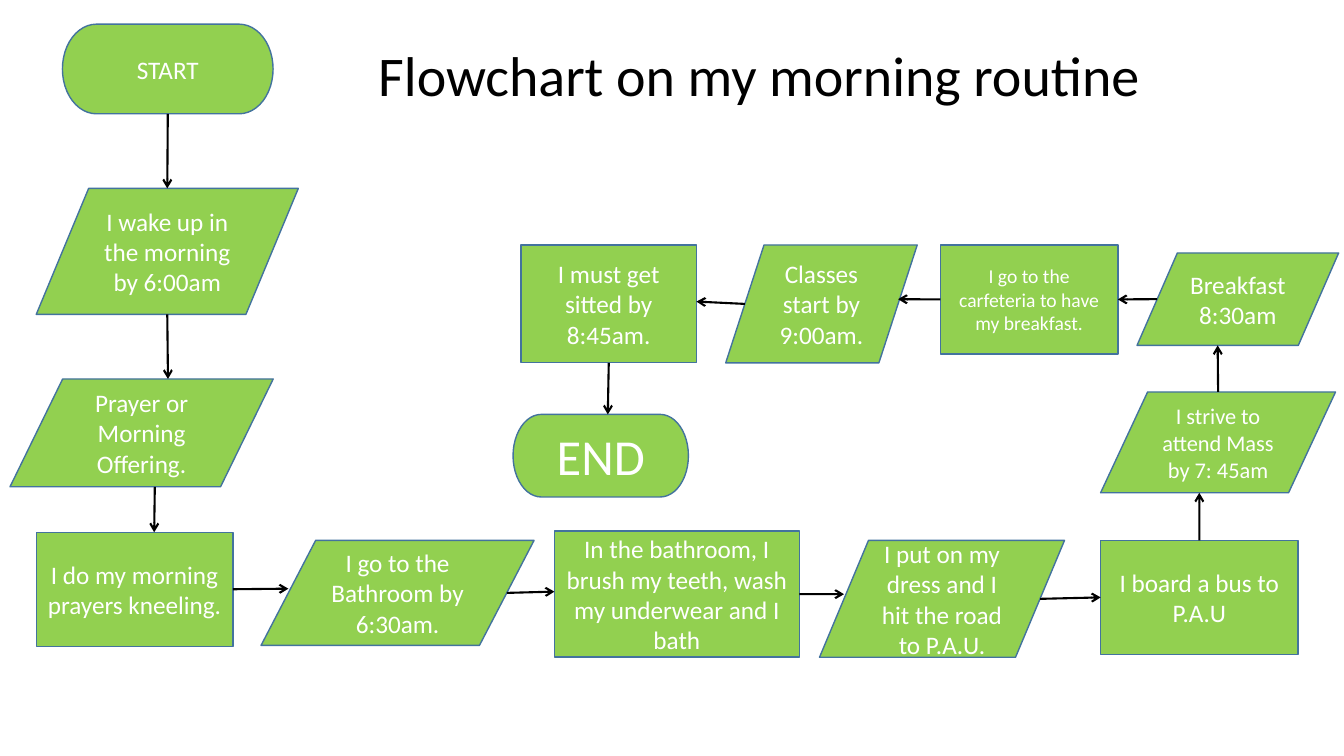
from lxml import etree
from pptx import Presentation, util as u
from pptx.dml import color
from pptx.enum import shapes, text
from pptx.oxml import ns

TERMINATOR = shapes.MSO_SHAPE.FLOWCHART_TERMINATOR
DATA = shapes.MSO_SHAPE.FLOWCHART_DATA
PROCESS = shapes.MSO_SHAPE.FLOWCHART_PROCESS
RECTANGLE = shapes.MSO_SHAPE.RECTANGLE

TOP, BOTTOM, LEFT, RIGHT = (0.5, 0), (0.5, 1), (0, 0.5), (1, 0.5)
SLANT_LEFT, SLANT_RIGHT = (0.1, 0.5), (0.9, 0.5)
SLANT_LEFT_HIGH, SLANT_RIGHT_HIGH = (0.1, 0.46), (0.9, 0.46)


def rgb(value):
    return color.RGBColor.from_string(value)


class Flowchart:
    font = "Calibri"
    fill = "92D050"
    outline = "43739E"
    label = "FFFFFF"
    ink = "000000"

    def __init__(self, page):
        self.page = page

    def set_words(self, frame, words, size, shade, anchor):
        frame.text = words
        frame.word_wrap = True
        frame.auto_size = text.MSO_AUTO_SIZE.NONE
        frame.vertical_anchor = anchor
        para = frame.paragraphs[0]
        para.alignment = text.PP_ALIGN.CENTER
        span = para.runs[0]
        span.font.name = self.font
        span.font.size = u.Pt(size)
        span.font.color.rgb = rgb(shade)
        return para

    def title(self, words, left, top, width, height, size):
        box = self.page.shapes.title
        box.left, box.top = u.Pt(left), u.Pt(top)
        box.width, box.height = u.Pt(width), u.Pt(height)
        para = self.set_words(box.text_frame, words, size, self.ink,
                              text.MSO_ANCHOR.BOTTOM)
        para.line_spacing = 0.9

    def step(self, kind, words, left, top, width, height, size=18):
        box = self.page.shapes.add_shape(
            kind, u.Pt(left), u.Pt(top), u.Pt(width), u.Pt(height))
        box.shadow.inherit = False
        box.fill.solid()
        box.fill.fore_color.rgb = rgb(self.fill)
        box.line.color.rgb = rgb(self.outline)
        box.line.width = u.Pt(1)
        self.set_words(box.text_frame, words, size, self.label,
                       text.MSO_ANCHOR.MIDDLE)
        return box

    def arrow(self, source, leave, target, enter):
        ends = [(round(box.left + box.width * across),
                 round(box.top + box.height * down))
                for box, (across, down) in ((source, leave), (target, enter))]
        line = self.page.shapes.add_connector(
            shapes.MSO_CONNECTOR.STRAIGHT, *ends[0], *ends[1])
        line.line.color.rgb = rgb(self.ink)
        line.line.width = u.Pt(1.5)
        properties = line._element.spPr
        head = etree.SubElement(properties.get_or_add_ln(), ns.qn("a:tailEnd"))
        head.set("type", "arrow")
        etree.SubElement(properties, ns.qn("a:effectLst"))


deck = Presentation()
deck.slide_width, deck.slide_height = u.Pt(960), u.Pt(540)
page = deck.slides.add_slide(deck.slide_layouts[5])
chart = Flowchart(page)
chart.title("Flowchart on my morning routine", 237.6, 12.2, 609, 69, 40)

start = chart.step(TERMINATOR, "START", 44.6, 17.3, 150.5, 64)
wake = chart.step(DATA, "I wake up in the morning by 6:00am",
                  25.9, 134.6, 187.2, 90)
offering = chart.step(DATA, "Prayer or Morning Offering.",
                      7.2, 270.7, 188, 77)
prayers = chart.step(PROCESS, "I do my morning prayers kneeling.",
                     25.9, 380.2, 140.4, 81.4)
bathroom = chart.step(DATA, "I go to the Bathroom by 6:30am.",
                      186.5, 386, 195, 75)
wash = chart.step(
    RECTANGLE,
    "In the bathroom, I brush my teeth, wash my underwear and I bath",
    396, 379.4, 175, 90)
dress = chart.step(DATA, "I put on my dress and I hit the road to P.A.U.",
                   585.4, 386, 175, 83.5)
bus = chart.step(PROCESS, "I board a bus to P.A.U",
                 786.2, 386, 141.1, 81.4)
mass = chart.step(DATA, "I strive to attend Mass by 7: 45am",
                  786.2, 280, 167.8, 72, 16)
breakfast = chart.step(DATA, "Breakfast 8:30am", 812.2, 180.7, 144, 66)
cafeteria = chart.step(PROCESS, "I go to the carfeteria to have my breakfast.",
                       671.8, 175, 126.7, 77.8, 14)
classes = chart.step(DATA, "Classes start by 9:00am.",
                     518.4, 175, 136.8, 84.2)
seated = chart.step(RECTANGLE, "I must get sitted by 8:45am.",
                    372.2, 175, 125.3, 84.2)
end = chart.step(TERMINATOR, "END", 366.5, 296, 125.3, 59, 36)

for link in (
    (start, BOTTOM, wake, TOP),
    (wake, BOTTOM, offering, (0.6, 0)),
    (offering, (0.55, 1), prayers, (0.6, 0)),
    (prayers, RIGHT, bathroom, SLANT_LEFT_HIGH),
    (bathroom, SLANT_RIGHT, wash, (0, 0.48)),
    (wash, RIGHT, dress, SLANT_LEFT_HIGH),
    (dress, SLANT_RIGHT, bus, LEFT),
    (bus, TOP, mass, (0.42, 1)),
    (mass, TOP, breakfast, (0.4, 1)),
    (breakfast, SLANT_LEFT, cafeteria, RIGHT),
    (cafeteria, LEFT, classes, SLANT_RIGHT_HIGH),
    (classes, SLANT_LEFT, seated, (1, 0.48)),
    (seated, BOTTOM, end, (0.54, 0)),
):
    chart.arrow(*link)

deck.save("out.pptx")
